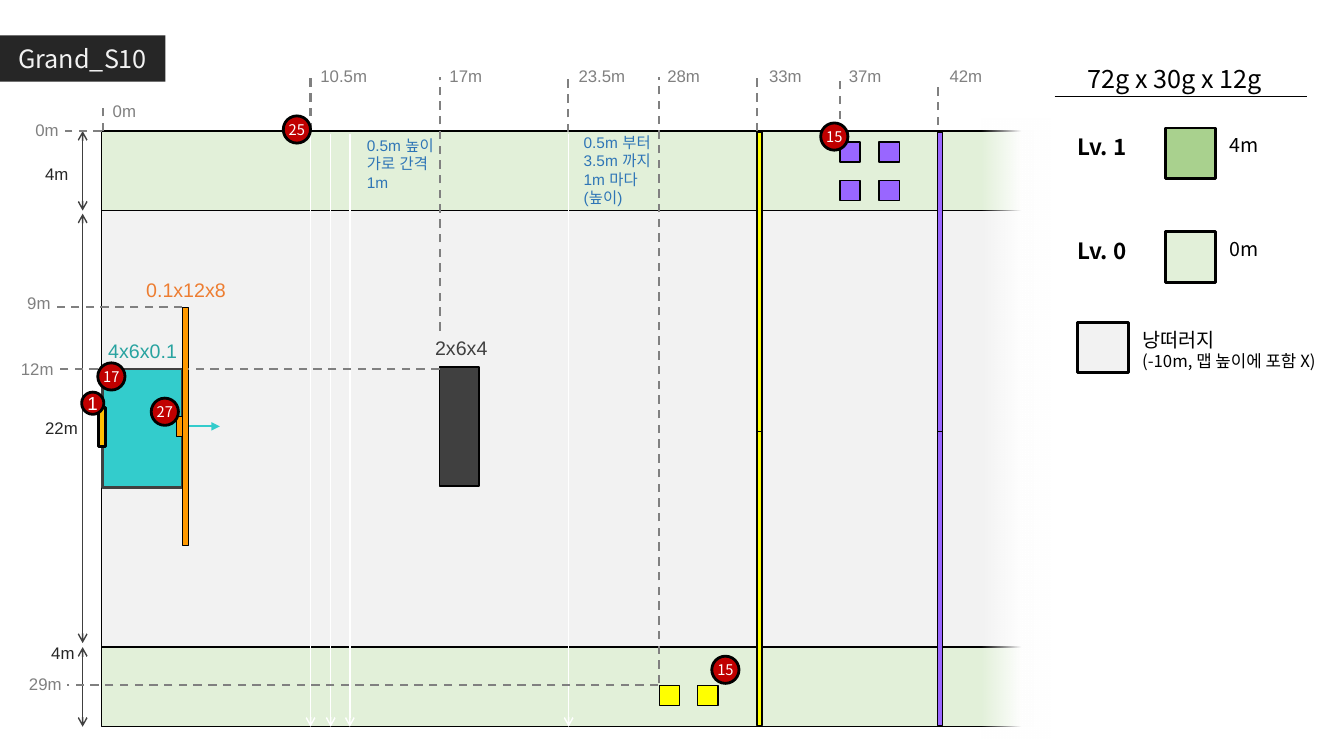
from dataclasses import dataclass
from itertools import product

from lxml.etree import SubElement
from pptx import Presentation
from pptx.dml.color import RGBColor
from pptx.enum.dml import MSO_LINE
from pptx.enum.shapes import MSO_CONNECTOR, MSO_SHAPE
from pptx.enum.text import MSO_ANCHOR, MSO_AUTO_SIZE, PP_ALIGN
from pptx.oxml.ns import qn
from pptx.util import Emu, Pt

PX = 9144  # EMU per px, 100 px to the inch


@dataclass(frozen=True)
class Style:
    size: float
    colour: str
    font: str = "Arial"
    bold: bool = False


@dataclass(frozen=True)
class Theme:
    black: str = "000000"
    white: str = "FFFFFF"
    dark: str = "262626"
    slate: str = "404040"
    grey: str = "808080"
    ground: str = "E2F0D9"
    hill: str = "A9D18E"
    cliff: str = "F2F2F2"
    teal: str = "33CCCC"
    orange: str = "FF9900"
    amber: str = "FFC000"
    yellow: str = "FFFF00"
    violet: str = "9966FF"
    red: str = "C00000"
    korean: str = "Noto Sans CJK KR"
    title: Style = Style(18, cliff, korean)
    heading: Style = Style(18, black, korean)
    level: Style = Style(16, black, korean, True)
    legend: Style = Style(14, black, korean)
    remark: Style = Style(12, black, korean)
    badge: Style = Style(10.5, white, korean)
    small_badge: Style = Style(13.4, white)
    scale: Style = Style(12, grey)
    extent: Style = Style(12, dark)
    note: Style = Style(11, "2E75B6")
    block: Style = Style(14, slate)
    platform: Style = Style(14, "28A3A0")
    wall: Style = Style(14, "ED7D31")


THEME = Theme()


@dataclass(frozen=True)
class Box:
    left: int
    top: int
    width: int
    height: int

    def emu(self):
        return [Emu(n * PX) for n in (self.left, self.top, self.width, self.height)]


@dataclass(frozen=True)
class Column:
    """A distance across the map: its dashed guide and its label."""
    label: str
    x: int
    bottom: int
    label_left: int
    top: int = 76
    label_top: int = 60


@dataclass(frozen=True)
class Row:
    """A distance down the map: dashed guides as (right, left) pairs, and its label."""
    label: str
    y: int
    guides: tuple
    label_right: int
    label_top: int


@dataclass(frozen=True)
class Badge:
    text: str
    left: int
    top: int
    size: int = 27
    style: Style = THEME.badge


@dataclass(frozen=True)
class Extent:
    label: str
    top: int
    bottom: int
    label_left: int
    label_top: int


COLUMNS = [
    Column("10.5m", 308, 130, 308), Column("17m", 436, 328, 436),
    Column("23.5m", 563, 131, 564), Column("28m", 654, 678, 652),
    Column("33m", 751, 130, 753), Column("37m", 833, 118, 832),
    Column("42m", 930, 124, 932, top=82),
    Column("0m", 102, 130, 102, top=103, label_top=95),
]
ROWS = [
    Row("0m", 130, ((101, 64),), 68, 114),
    Row("9m", 305, ((181, 57),), 60, 286),
    Row("12m", 366, ((97, 60), (436, 186)), 63, 351),
    Row("29m", 680, ((653, 66),), 71, 663),
]
EXTENTS = [
    Extent("4m", 130, 209, 35, 158),
    Extent("22m", 212, 638, 35, 410),
    Extent("4m", 642, 721, 41, 633),
]
BADGES = [
    Badge("17", 97, 360), Badge("15", 706, 651), Badge("27", 150, 395),
    Badge("15", 814, 122), Badge("25", 281, 115),
    Badge("1", 81, 389, 22, THEME.small_badge),
]


def rgb(colour: str) -> RGBColor:
    return RGBColor.from_string(colour)


def write(frame, lines, align=PP_ALIGN.LEFT) -> None:
    """Fill a text frame with one paragraph for each (text, style) pair."""
    for number, (text, style) in enumerate(lines):
        para = frame.add_paragraph() if number else frame.paragraphs[0]
        para.alignment = align
        span = para.add_run()
        span.text = text
        span.font.size = Pt(style.size)
        span.font.bold = style.bold
        span.font.color.rgb = rgb(style.colour)
        span.font.name = style.font
        SubElement(span.font._element, qn("a:ea"), typeface=style.font)


def add_label(page, box: Box, *lines, align=PP_ALIGN.LEFT, wrap=True) -> None:
    frame = page.shapes.add_textbox(*box.emu()).text_frame
    frame.word_wrap = wrap
    write(frame, lines, align)


def add_block(page, box: Box, fill: str, weight=1, outline=THEME.black,
              kind=MSO_SHAPE.RECTANGLE):
    shape = page.shapes.add_shape(kind, *box.emu())
    shape.shadow.inherit = False
    shape.fill.solid()
    shape.fill.fore_color.rgb = rgb(fill)
    shape.line.color.rgb = rgb(outline)
    shape.line.width = Pt(weight)
    return shape


def add_line(page, start, end, colour: str, weight=1.0, dashed=False, head="", tail="") -> None:
    points = [Emu(n * PX) for n in (*start, *end)]
    connector = page.shapes.add_connector(MSO_CONNECTOR.STRAIGHT, *points)
    connector.line.color.rgb = rgb(colour)
    connector.line.width = Pt(weight)
    if dashed:
        connector.line.dash_style = MSO_LINE.DASH
    for tag, arrow in (("a:headEnd", head), ("a:tailEnd", tail)):
        if arrow:
            SubElement(connector.line._get_or_add_ln(), qn(tag), type=arrow)
    SubElement(connector._element.spPr, qn("a:effectLst"))


def add_guide(page, start, end) -> None:
    add_line(page, start, end, THEME.grey, 1.5, dashed=True)


def add_badge(page, badge: Badge) -> None:
    box = Box(badge.left, badge.top, badge.size, badge.size)
    frame = add_block(page, box, THEME.red, 2, kind=MSO_SHAPE.OVAL).text_frame
    frame.margin_left = frame.margin_right = frame.margin_top = frame.margin_bottom = 0
    frame.vertical_anchor = MSO_ANCHOR.MIDDLE
    frame.word_wrap = False
    write(frame, [(badge.text, badge.style)], PP_ALIGN.CENTER)


def add_fade(page, box: Box) -> None:
    """Cover the open end of the map with white, growing from clear to solid."""
    shape = add_block(page, box, THEME.white)
    shape.line.fill.background()
    shape.fill.gradient()
    shape.fill.gradient_angle = 0
    for stop, position in zip(shape.fill.gradient_stops, (0, 0.58)):
        stop.color.rgb = rgb(THEME.white)
        stop.position = position
    first_colour = shape._element.spPr.find(".//" + qn("a:srgbClr"))
    SubElement(first_colour, qn("a:alpha"), val="0")


def add_title(page) -> None:
    title = page.shapes.title
    title.left, title.top, title.width, title.height = Box(0, 35, 164, 46).emu()
    title.fill.solid()
    title.fill.fore_color.rgb = rgb(THEME.dark)
    title.text_frame.auto_size = MSO_AUTO_SIZE.NONE
    title.text_frame.vertical_anchor = MSO_ANCHOR.MIDDLE
    write(title.text_frame, [("Grand_S10", THEME.title)], PP_ALIGN.CENTER)


def add_map(page) -> None:
    for top, height, fill in ((130, 79, THEME.ground), (209, 433, THEME.cliff),
                              (642, 79, THEME.ground)):
        add_block(page, Box(101, top, 924, height), fill)
    add_block(page, Box(102, 366, 79, 118), THEME.teal, 2, THEME.slate)
    add_line(page, (186, 423), (218, 423), THEME.teal, 1.5, tail="triangle")
    add_block(page, Box(175, 413, 6, 20), THEME.orange)
    add_block(page, Box(181, 305, 6, 236), THEME.orange)
    add_block(page, Box(436, 364, 39, 118), THEME.slate)
    for left in (654, 692):
        add_block(page, Box(left, 680, 20, 20), THEME.yellow)
    for top, left in product((141, 179), (833, 872)):
        add_block(page, Box(left, top, 20, 20), THEME.violet)
    for (left, fill), top in product(((751, THEME.yellow), (930, THEME.violet)), (423, 131)):
        add_block(page, Box(left, top, 5, 297), fill)
    add_fade(page, Box(974, 118, 68, 615))
    for x in (308, 328, 347, 564):
        add_line(page, (x, 133), (x, 721), THEME.white, tail="arrow")


def add_scales(page) -> None:
    for extent in EXTENTS:
        add_line(page, (82, extent.top), (82, extent.bottom), THEME.slate,
                 head="arrow", tail="arrow")
        add_label(page, Box(extent.label_left, extent.label_top, 53 if extent.label == "22m" else 44, 30),
                  (extent.label, THEME.extent), wrap=False)
    for column in COLUMNS:
        add_guide(page, (column.x, column.bottom), (column.x, column.top))
        add_label(page, Box(column.label_left, column.label_top, 73, 30), (column.label, THEME.scale))
    for row in ROWS:
        for right, left in row.guides:
            add_guide(page, (right, row.y), (left, row.y))
        add_label(page, Box(0, row.label_top, row.label_right, 30),
                  (row.label, THEME.scale), align=PP_ALIGN.RIGHT)


def add_notes_on_map(page) -> None:
    for text, left, top, style in (("2x6x4", 402, 328, THEME.block),
                                   ("4x6x0.1", 86, 331, THEME.platform),
                                   ("0.1x12x8", 129, 271, THEME.wall)):
        add_label(page, Box(left, top, 111, 34), (text, style), align=PP_ALIGN.CENTER)
    for box, lines in ((Box(354, 130, 120, 66), ("0.5m 높이", "가로 간격", "1m")),
                       (Box(569, 127, 108, 84), ("0.5m 부터", "3.5m 까지", "1m 마다", "(높이)"))):
        add_label(page, box, *((line, THEME.note) for line in lines))


def add_legend(page) -> None:
    add_line(page, (1046, 96), (1296, 96), THEME.black)
    add_label(page, Box(1055, 58, 220, 40), ("72g x 30g x 12g", THEME.heading), align=PP_ALIGN.CENTER)
    for name, height, top, fill in (("Lv. 1", "4m", 127, THEME.hill), ("Lv. 0", "0m", 230, THEME.ground)):
        add_label(page, Box(1059, top, 107, 36), (name, THEME.level))
        add_block(page, Box(1156, top, 50, 50), fill, 2)
        add_label(page, Box(1210, top, 71, 33), (height, THEME.legend))
    add_block(page, Box(1069, 320, 50, 50), THEME.cliff, 2)
    add_label(page, Box(1123, 320, 204, 54), ("낭떠러지", THEME.legend),
              ("(-10m, 맵 높이에 포함 X)", THEME.remark))


def main() -> None:
    deck = Presentation()
    deck.slide_width, deck.slide_height = Emu(1333 * PX), Emu(750 * PX)
    page = deck.slides.add_slide(deck.slide_layouts[5])
    add_title(page)
    add_map(page)
    add_scales(page)
    add_notes_on_map(page)
    add_block(page, Box(98, 404, 7, 39), THEME.amber, 2)
    for badge in BADGES:
        add_badge(page, badge)
    add_legend(page)
    deck.save("out.pptx")


if __name__ == "__main__":
    main()
